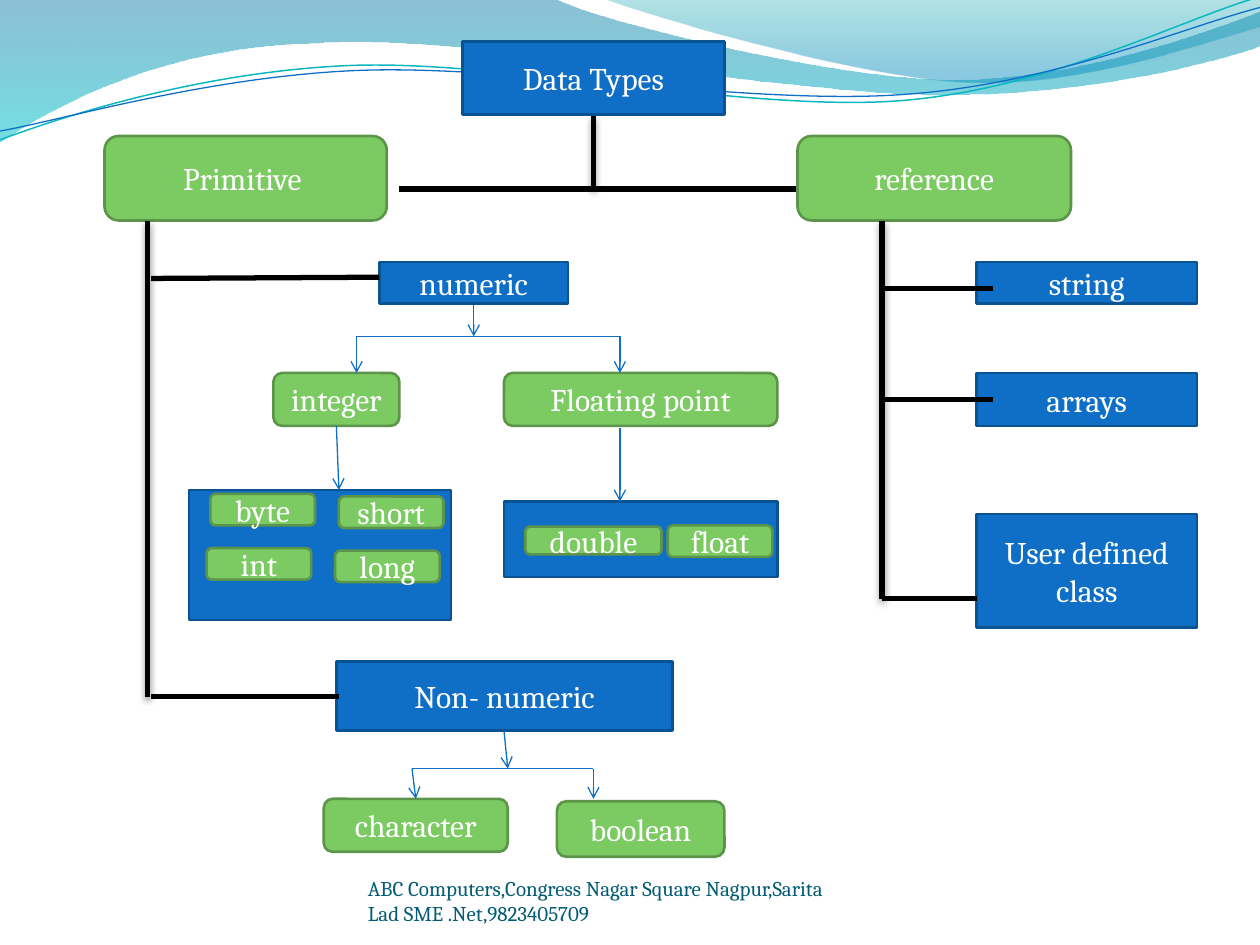
import math
import pptx
import pptx.util
import pptx.dml.color
import pptx.enum.shapes
import pptx.enum.text
import pptx.oxml
import pptx.oxml.ns
from pptx.util import Inches

SHAPES = pptx.enum.shapes.MSO_SHAPE
BLUE, BLUE_EDGE = "0F6FC6", "0B5292"
GREEN, GREEN_EDGE = "7CCA62", "5C9549"
BLACK, WHITE = "000000", "FFFFFF"
SHADOW = ('<a:outerShdw blurRad="50800" dist="25400" dir="5400000" rotWithShape="0">'
          '<a:srgbClr val="000000"><a:alpha val="45000"/></a:srgbClr></a:outerShdw>')


def rgb(value):
    return pptx.dml.color.RGBColor.from_string(value)


def xml(tag, attributes="", content=""):
    namespace = pptx.oxml.ns.nsdecls("a")
    return pptx.oxml.parse_xml(f"<a:{tag} {namespace} {attributes}>{content}</a:{tag}>")


def set_line(line, color, width):
    line.color.rgb = rgb(color)
    line.width = pptx.util.Pt(width)


def write(frame, text, size, color):
    run = frame.paragraphs[0].add_run()
    run.text = text
    run.font.size = pptx.util.Pt(size)
    run.font.name = "Cambria"
    run.font.color.rgb = rgb(color)


def node(slide, origin, at, text="", rounded=False):
    left, top, width, height = at
    kind = SHAPES.ROUNDED_RECTANGLE if rounded else SHAPES.RECTANGLE
    shape = slide.shapes.add_shape(kind, Inches(origin[0] + left), Inches(origin[1] + top),
                                   Inches(width), Inches(height))
    shape.shadow.inherit = False
    shape.fill.solid()
    shape.fill.fore_color.rgb = rgb(GREEN if rounded else BLUE)
    set_line(shape.line, GREEN_EDGE if rounded else BLUE_EDGE, 1.5)
    if text:
        frame = shape.text_frame
        frame.word_wrap = True
        frame.vertical_anchor = pptx.enum.text.MSO_ANCHOR.MIDDLE
        frame.paragraphs[0].alignment = pptx.enum.text.PP_ALIGN.CENTER
        write(frame, text, 18, WHITE)


def link(slide, origin, ends, color=BLACK, width=3, arrow=False, shadow=False):
    x1, y1, x2, y2 = ends
    connector = slide.shapes.add_connector(
        pptx.enum.shapes.MSO_CONNECTOR.STRAIGHT,
        Inches(origin[0] + x1), Inches(origin[1] + y1),
        Inches(origin[0] + x2), Inches(origin[1] + y2))
    set_line(connector.line, color, width)
    properties = connector._element.spPr
    if arrow:
        properties.find(pptx.oxml.ns.qn("a:ln")).append(xml("tailEnd", 'type="arrow"'))
    properties.append(xml("effectLst", content=SHADOW if shadow else ""))


def thin_link(slide, origin, ends, arrow=True):
    link(slide, origin, ends, BLUE, 0.75, arrow)


def wave(slide, origin, start, segments, closed):
    points = [(Inches(origin[0] + x), Inches(origin[1] + y))
              for x, y in [start, *(point for segment in segments for point in segment)]]
    builder = slide.shapes.build_freeform(*points[0], scale=1.0)
    builder.add_line_segments(points[1:], close=closed)
    shape = builder.convert_to_shape()
    shape.shadow.inherit = False
    steps = iter(shape._element.xpath(".//a:lnTo"))
    for segment in segments:
        group = [next(steps) for _ in segment]
        if len(group) == 3:
            curve = xml("cubicBezTo")
            group[0].addprevious(curve)
            for step in group:
                curve.append(step[0])
                step.getparent().remove(step)
    return shape


def turn(point, pivot, degrees):
    angle = math.radians(degrees)
    dx, dy = point[0] - pivot[0], point[1] - pivot[1]
    return (pivot[0] + dx * math.cos(angle) - dy * math.sin(angle),
            pivot[1] + dx * math.sin(angle) + dy * math.cos(angle))


def wave_header(slide, origin):
    bands = [
        ((0, 0), [[(4.4, -0.01)],
                  [(4.76, 0.17), (6.64, 0.63), (7.58, 0.63)],
                  [(8.53, 0.63), (9.58, 0.26), (10, 0.09)],
                  [(10.01, 0.36)],
                  [(9.83, 0.44), (8.7, 0.76), (7.46, 0.75)],
                  [(6.22, 0.75), (3.82, 0.28), (2.57, 0.34)],
                  [(1.29, 0.36), (0.46, 0.83), (-0.01, 1.13)]],
         [(0, "0074A1", 45), (1, "00C6CF", 55)]),
        ((4.79, -0.01), [[(5.09, 0.11), (6.82, 0.62), (7.69, 0.65)],
                         [(8.56, 0.69), (9.61, 0.32), (10, 0.21)],
                         [(10, 0)]],
         [(0, "00A1A9", 30), (0.8, "008BBF", 45)]),
    ]
    for start, segments, stops in bands:
        band = wave(slide, origin, start, segments, True)
        band.line.fill.background()
        band.fill.gradient()
        band.fill.gradient_angle = 270
        for stop, (position, color, _) in zip(band.fill.gradient_stops, stops):
            stop.color.rgb = rgb(color)
            stop.position = position
        for color, (_, _, opacity) in zip(band._element.xpath(".//a:gs/a:srgbClr"), stops):
            color.append(xml("alpha", f'val="{opacity * 1000}"'))

    tilt = 2.7
    strands = [
        ((0, 1.11), [[(0.48, 0.93), (1.58, 0.57), (2.77, 0.52)],
                     [(3.95, 0.47), (5.93, 0.89), (7.13, 0.8)],
                     [(8.33, 0.71), (9.38, 0.15), (9.98, -0.02)]], (4.99, 0.58), "0AB8BF", 0.85),
        ((0, 1.04), [[(0.47, 0.96), (1.64, 0.61), (2.83, 0.56)],
                     [(4.03, 0.51), (5.97, 0.84), (7.17, 0.75)],
                     [(8.36, 0.67), (9.41, 0.21), (10, 0.06)]], (5, 0.59), BLUE, 0.75),
    ]
    for start, segments, pivot, color, width in strands:
        level = [[turn(point, pivot, tilt) for point in segment] for segment in segments]
        strand = wave(slide, origin, turn(start, pivot, tilt), level, False)
        strand.rotation = -tilt
        strand.fill.background()
        set_line(strand.line, color, width)


def root(slide, origin):
    node(slide, origin, (0, 0, 2.08, 0.58), "Data Types")
    link(slide, origin, (1.04, 0.59, 1.04, 1.17), width=2.5, shadow=True)
    link(slide, origin, (-0.5, 1.17, 2.66, 1.17))


def fork(slide, origin, left, right, top, drop, lean=0):
    thin_link(slide, origin, (left, top, right, top), arrow=False)
    thin_link(slide, origin, (left, top, left + lean, top + drop))
    thin_link(slide, origin, (right, top, right, top + drop))


def primitive_branch(slide, origin):
    node(slide, origin, (3.17, 2.9, 2.17, 0.6))
    node(slide, origin, (0.67, 2.81, 2.08, 1.03))
    node(slide, origin, (2.18, 1, 1.5, 0.33), "numeric")
    node(slide, origin, (1.84, 4.17, 2.67, 0.55), "Non- numeric")
    types = [
        ("Primitive ", (0, 0, 2.24, 0.67)),
        ("integer", (1.34, 1.88, 1, 0.42)),
        ("Floating point", (3.17, 1.88, 2.17, 0.42)),
        ("double", (3.34, 3.1, 1.08, 0.22)),
        ("float", (4.47, 3.09, 0.83, 0.25)),
        ("character", (1.74, 5.26, 1.46, 0.42)),
        ("boolean", (3.59, 5.28, 1.33, 0.44)),
    ]
    for row, names in enumerate([("byte", "short"), ("int", "long")]):
        for column, name in enumerate(names):
            types.append((name, (0.84 - 0.03 * row + 1.02 * column,
                                 2.84 + 0.43 * row + 0.02 * column, 0.83, 0.25)))
    for name, at in types:
        node(slide, origin, at, name, rounded=True)

    link(slide, origin, (0.34, 0.67, 0.34, 4.45), shadow=True)
    link(slide, origin, (0.37, 1.13, 2.18, 1.12))
    link(slide, origin, (0.37, 4.45, 1.86, 4.45))
    fork(slide, origin, 2, 4.09, 1.59, 0.29)
    fork(slide, origin, 2.44, 3.88, 5.02, 0.24, lean=0.03)
    for ends in [(2.93, 1.34, 2.93, 1.59), (3.17, 4.72, 3.2, 5.02),
                 (1.84, 2.3, 1.86, 2.81), (4.09, 2.32, 4.09, 2.9)]:
        thin_link(slide, origin, ends)


def reference_branch(slide, origin):
    node(slide, origin, (0, 0, 2.17, 0.67), "reference", rounded=True)
    link(slide, origin, (0.67, 0.67, 0.67, 3.67), shadow=True)
    for name, top, height, twig_top, twig_end in [
            ("string", 1, 0.33, 1.21, 1.55),
            ("arrays", 1.88, 0.42, 2.09, 1.55),
            ("User defined class", 3, 0.9, 3.67, 1.42)]:
        node(slide, origin, (1.42, top, 1.75, height), name)
        link(slide, origin, (0.67, twig_top, twig_end, twig_top))


def footer(slide, left, top, width, height):
    frame = slide.shapes.add_textbox(Inches(left), Inches(top),
                                     Inches(width), Inches(height)).text_frame
    frame.word_wrap = True
    frame.margin_left = frame.margin_right = frame.margin_top = frame.margin_bottom = 0
    frame.vertical_anchor = pptx.enum.text.MSO_ANCHOR.BOTTOM
    write(frame, "ABC Computers,Congress Nagar Square Nagpur,Sarita Lad SME .Net,9823405709",
          12, "045D75")


def main():
    presentation = pptx.Presentation()
    presentation.slide_width, presentation.slide_height = Inches(10), Inches(7.5)
    slide = presentation.slides.add_slide(presentation.slide_layouts[6])
    wave_header(slide, (0, 0))
    footer(slide, 2.92, 6.95, 3.67, 0.4)
    root(slide, (3.67, 0.33))
    primitive_branch(slide, (0.83, 1.08))
    reference_branch(slide, (6.33, 1.08))
    presentation.save("out.pptx")


if __name__ == "__main__":
    main()
